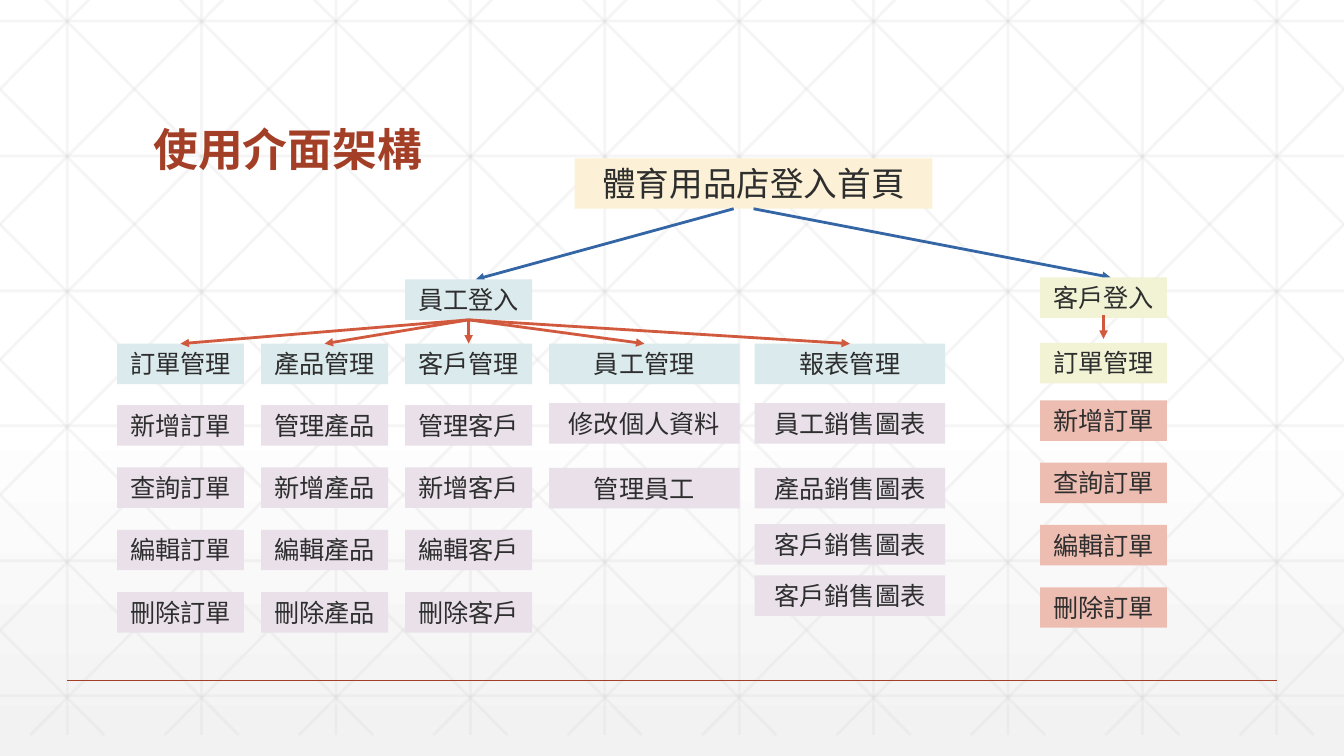
import pptx
import pptx.dml.color
import pptx.enum.shapes
import pptx.enum.text
import pptx.oxml
import pptx.oxml.ns
import pptx.util

Cm = pptx.util.Cm
Pt = pptx.util.Pt

COLORS = {
    "white": "FFFFFF", "background": "F2F2F2", "grid": "D9D9D9",
    "title": "A43F27", "text": "2D2E2D", "home": "FCF1D6",
    "employee": "DBEAED", "customer": "F1F3D4",
    "employee_item": "E9E0EA", "customer_item": "EDBDB2",
    "login_arrow": "3465A4", "menu_arrow": "D15A3E",
}
SLIDE_WIDTH, SLIDE_HEIGHT = 33.87, 19.05
BOX_HEIGHT = 1.02
ITEM_STEP = 1.57


def rgb(name):
    return pptx.dml.color.RGBColor.from_string(COLORS[name])


def add_xml(parent, tag, **attributes):
    element = pptx.oxml.parse_xml(f"<a:{tag} {pptx.oxml.ns.nsdecls('a')}/>")
    for key, value in attributes.items():
        element.set(key, value)
    parent.append(element)


def add_line(shapes, start, end, color, width=0.0, arrow=False):
    points = [Cm(value) for value in (*start, *end)]
    line = shapes.add_connector(pptx.enum.shapes.MSO_CONNECTOR.STRAIGHT, *points)
    line.line.color.rgb = rgb(color)
    line.line.width = Pt(width)
    if arrow:
        add_xml(line.line._get_or_add_ln(), "tailEnd", type="triangle")
    add_xml(line.element.spPr, "effectLst")
    return line


def add_box(slide, left, top, width, text, color, height=BOX_HEIGHT, size=18):
    shape = slide.shapes.add_shape(
        pptx.enum.shapes.MSO_SHAPE.RECTANGLE, Cm(left), Cm(top), Cm(width), Cm(height))
    shape.shadow.inherit = False
    shape.fill.solid()
    shape.fill.fore_color.rgb = rgb(color)
    shape.line.fill.background()
    frame = shape.text_frame
    frame.word_wrap = True
    frame.auto_size = pptx.enum.text.MSO_AUTO_SIZE.SHAPE_TO_FIT_TEXT
    frame.vertical_anchor = pptx.enum.text.MSO_ANCHOR.TOP
    paragraph = frame.paragraphs[0]
    paragraph.text = text
    paragraph.alignment = pptx.enum.text.PP_ALIGN.CENTER
    paragraph.font.size = Pt(size)
    paragraph.font.name = "Arial"
    paragraph.font.color.rgb = rgb("text")
    return shape


def add_background(slide):
    fill = slide.background.fill
    fill.gradient()
    fill.gradient_angle = 270
    stops = zip(fill.gradient_stops, (0.53, 1), ("white", "background"))
    for stop, position, color in stops:
        stop.position = position
        stop.color.rgb = rgb(color)


def add_grid(slide, top, bottom):
    step = SLIDE_WIDTH / 10
    run = 18.93
    slope = (bottom - top) / run
    segments = []
    for index in range(10):
        x = step * (index + 0.5)
        segments.append(((x, top), (x, bottom)))
    for index in range(6):
        y = 0.53 + 3.4 * index
        segments.append(((0, y), (SLIDE_WIDTH, y)))
    # Diagonals, cut at the slide's sides and mirrored
    for index in range(-5, 10):
        origin = 0.63 + step * index
        left, right = max(origin, 0), min(origin + run, SLIDE_WIDTH)
        start = (left, top + (left - origin) * slope)
        end = (right, top + (right - origin) * slope)
        segments.append((start, end))
        segments.append(((SLIDE_WIDTH - start[0], start[1]), (SLIDE_WIDTH - end[0], end[1])))
    group = slide.shapes.add_group_shape()
    for start, end in segments:
        line = add_line(group.shapes, start, end, "grid")
        color = line.element.find(".//" + pptx.oxml.ns.qn("a:srgbClr"))
        add_xml(color, "alpha", val="25000")


def add_title(slide, left, top, width, height):
    title = slide.shapes.title
    title.left, title.top, title.width, title.height = map(Cm, (left, top, width, height))
    title.text_frame.vertical_anchor = pptx.enum.text.MSO_ANCHOR.BOTTOM
    paragraph = title.text_frame.paragraphs[0]
    paragraph.text = "使用介面架構"
    paragraph.alignment = pptx.enum.text.PP_ALIGN.LEFT
    paragraph.line_spacing = 0.9
    paragraph.font.size = Pt(32)
    paragraph.font.bold = True
    paragraph.font.name = "Noto Sans CJK TC"
    paragraph.font.color.rgb = rgb("title")
    # Bring the title in front of the grid
    slide.shapes.element.append(title.element)


def add_menu(slide, left, top, width, heading, items, item_tops, color):
    head = add_box(slide, left, top, width, heading, color)
    for item, offset in zip(items, item_tops):
        add_box(slide, left, top + offset, width, item, color + "_item")
    return head


def add_employee_menus(slide, left, top):
    login = add_box(slide, left + 7.26, top, 3.2, "員工登入", "employee")
    even = [1.55 + ITEM_STEP * index for index in range(4)]
    uneven = [1.5, 3.13, 4.55, 5.84]
    menus = [
        (0, 3.2, "訂單管理", ["新增訂單", "查詢訂單", "編輯訂單", "刪除訂單"], even),
        (3.63, 3.2, "產品管理", ["管理產品", "新增產品", "編輯產品", "刪除產品"], even),
        (7.26, 3.2, "客戶管理", ["管理客戶", "新增客戶", "編輯客戶", "刪除客戶"], even),
        (10.89, 4.8, "員工管理", ["修改個人資料", "管理員工"], uneven),
        (16.07, 4.8, "報表管理",
         ["員工銷售圖表", "產品銷售圖表", "客戶銷售圖表", "客戶銷售圖表"], uneven),
    ]
    for offset, width, heading, items, item_tops in menus:
        head = add_menu(slide, left + offset, top + 1.62, width, heading,
                        items, item_tops, "employee")
        arrow = add_line(slide.shapes, (left, top), (left, top), "menu_arrow", arrow=True)
        arrow.begin_connect(login, 2)
        arrow.end_connect(head, 0)


def add_customer_menu(slide, left, top):
    add_box(slide, left, top, 3.2, "客戶登入", "customer")
    add_menu(slide, left, top + 1.65, 3.2, "訂單管理",
             ["新增訂單", "查詢訂單", "編輯訂單", "刪除訂單"],
             [1.45 + ITEM_STEP * index for index in range(4)], "customer")
    center = left + 1.6
    add_line(slide.shapes, (center, top + 0.94), (center, top + 1.55), "menu_arrow", arrow=True)


def add_home(slide, left, top, width):
    home = add_box(slide, left, top, width, "體育用品店登入首頁", "home", 1.27, 24)
    bottom = top + 1.27
    add_line(slide.shapes, (18.49, bottom), (11.99, 7.04), "login_arrow", arrow=True)
    to_customer = add_line(slide.shapes, (19, bottom), (27.99, 6.99), "login_arrow", arrow=True)
    to_customer.begin_connect(home, 2)


def main():
    presentation = pptx.Presentation()
    presentation.slide_width = Cm(SLIDE_WIDTH)
    presentation.slide_height = Cm(SLIDE_HEIGHT)
    slide = presentation.slides.add_slide(presentation.slide_layouts[5])

    # Backdrop and rule at the foot
    add_background(slide)
    add_grid(slide, -0.53, 18.52)
    add_line(slide.shapes, (1.69, 17.15), (32.18, 17.15), "title", 1)

    # Title and menu tree
    add_title(slide, 3.61, 1.4, 26.67, 3.18)
    add_home(slide, 14.48, 3.99, 9.02)
    add_employee_menus(slide, 2.95, 7.04)
    add_customer_menu(slide, 26.21, 6.99)

    presentation.save("out.pptx")


if __name__ == "__main__":
    main()
